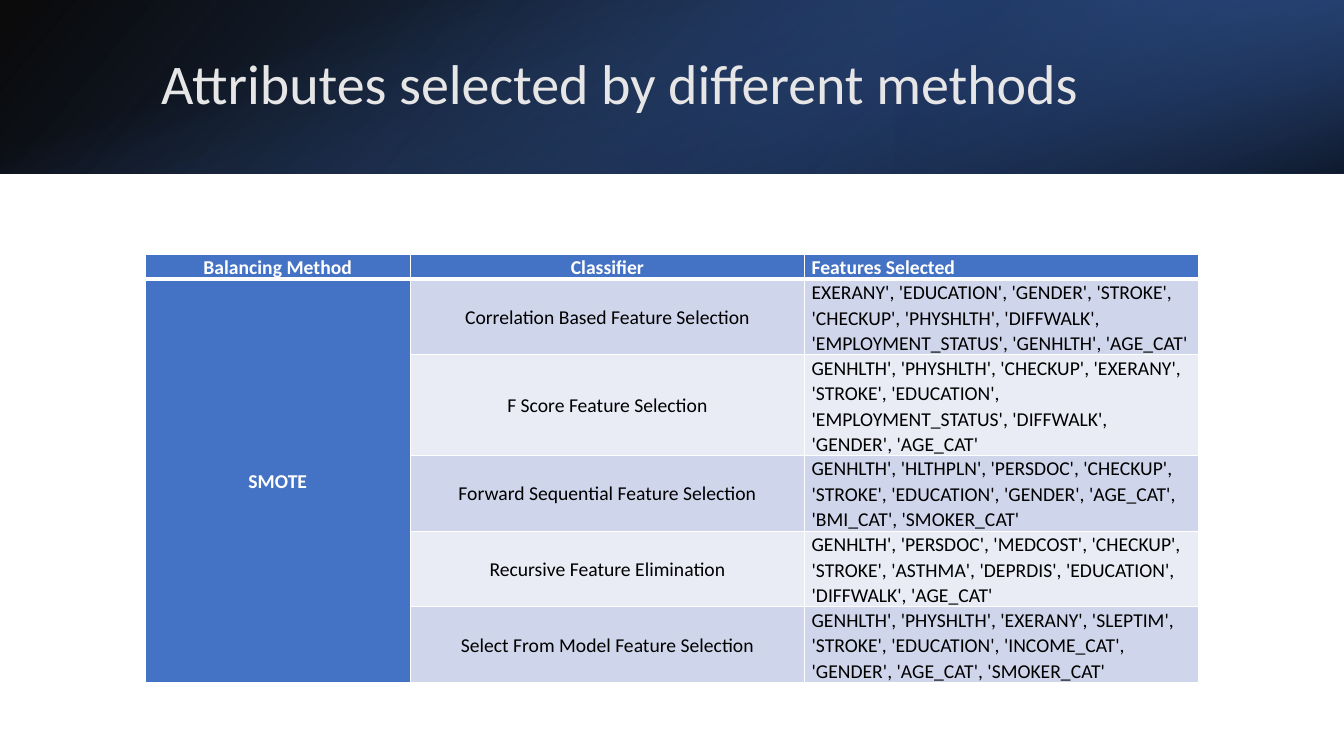
from lxml import etree
from pptx import Presentation
from pptx.dml.color import RGBColor
from pptx.enum.shapes import MSO_SHAPE
from pptx.enum.text import MSO_ANCHOR, PP_ALIGN
from pptx.oxml.ns import qn
from pptx.util import Inches, Pt

RECTANGLE = MSO_SHAPE.RECTANGLE
MIDDLE = MSO_ANCHOR.MIDDLE
LEFT, CENTER = PP_ALIGN.LEFT, PP_ALIGN.CENTER
WIDTH, HEIGHT, BANNER_HEIGHT = 13.33, 7.5, 1.72
LINE_HEIGHT = 0.25
BLUE, WHITE, BLACK = "4472C4", "FFFFFF", "000000"
BANDS = ["CFD5EA", "E9EBF5"]


def color(hex_string):
    return RGBColor.from_string(hex_string)


def write(text_frame, text, size, hex_string, bold, alignment, spacing):
    text_frame.word_wrap = True
    paragraph = text_frame.paragraphs[0]
    paragraph.alignment = alignment
    paragraph.line_spacing = spacing
    run = paragraph.add_run()
    run.text = text
    run.font.name = "Calibri"
    run.font.size = Pt(size)
    run.font.bold = bold
    run.font.color.rgb = color(hex_string)


presentation = Presentation()
presentation.slide_width = Inches(WIDTH)
presentation.slide_height = Inches(HEIGHT)
slide = presentation.slides.add_slide(presentation.slide_layouts[6])

turned_offset = (WIDTH - BANNER_HEIGHT) / 2
banner_layers = [
    ((0, 0, WIDTH, BANNER_HEIGHT), 0, True, 140,
     [(0, BLACK, 96), (100, "2F5597", 100)]),
    ((WIDTH * 2 / 3, 0, WIDTH / 3, BANNER_HEIGHT), 180, True, 320,
     [(19, "203864", 68), (100, BLUE, 79)]),
    ((turned_offset, -turned_offset, BANNER_HEIGHT, WIDTH), 90, False, 340,
     [(23, BLUE, 0), (99, BLACK, 74)]),
]
banner_layers[0][4][1] = (100, "2F5597", 100)
for box, rotation, flipped, angle, stops in banner_layers:
    layer = slide.shapes.add_shape(RECTANGLE, *map(Inches, box))
    layer.shadow.inherit = False
    layer.line.fill.background()
    layer.rotation = rotation
    if flipped:
        layer.element.spPr.find(qn("a:xfrm")).set("flipH", "1")
    layer.fill.gradient()
    layer.fill.gradient_angle = 360 - angle
    for stop, (position, hex_string, opacity) in zip(layer.fill.gradient_stops, stops):
        stop.position = position / 100
        stop.color.rgb = color(hex_string)
        if opacity < 100:
            for stop_color in layer.element.spPr.iter(qn("a:srgbClr")):
                if stop_color.find(qn("a:alpha")) is None:
                    alpha = etree.SubElement(stop_color, qn("a:alpha"))
                    alpha.set("val", str(opacity * 1000))

title = slide.shapes.add_textbox(Inches(1.5), Inches(0.38), Inches(10.98), Inches(0.96))
title.text_frame.vertical_anchor = MIDDLE
write(title.text_frame, "Attributes selected by different methods", 40, "E7E6E6", False, LEFT, 0.9)

rows = [
    (1, "Balancing Method", "Classifier", "Features Selected"),
    (3, "SMOTE", "Correlation Based Feature Selection",
     "EXERANY', 'EDUCATION', 'GENDER', 'STROKE', 'CHECKUP', 'PHYSHLTH', "
     "'DIFFWALK', 'EMPLOYMENT_STATUS', 'GENHLTH', 'AGE_CAT'"),
    (4, "", "F Score Feature Selection",
     "GENHLTH', 'PHYSHLTH', 'CHECKUP', 'EXERANY', 'STROKE', 'EDUCATION', "
     "'EMPLOYMENT_STATUS', 'DIFFWALK', 'GENDER', 'AGE_CAT'"),
    (3, "", "Forward Sequential Feature Selection",
     "GENHLTH', 'HLTHPLN', 'PERSDOC', 'CHECKUP', 'STROKE', 'EDUCATION', "
     "'GENDER', 'AGE_CAT', 'BMI_CAT', 'SMOKER_CAT'"),
    (3, "", "Recursive Feature Elimination",
     "GENHLTH', 'PERSDOC', 'MEDCOST', 'CHECKUP', 'STROKE', 'ASTHMA', "
     "'DEPRDIS', 'EDUCATION', 'DIFFWALK', 'AGE_CAT'"),
    (3, "", "Select From Model Feature Selection",
     "GENHLTH', 'PHYSHLTH', 'EXERANY', 'SLEPTIM', 'STROKE', 'EDUCATION', "
     "'INCOME_CAT', 'GENDER', 'AGE_CAT', 'SMOKER_CAT'"),
]
column_widths = [2.63, 3.91, 3.91]
table_height = LINE_HEIGHT * sum(row[0] for row in rows)
table = slide.shapes.add_table(
    len(rows), len(column_widths), Inches(1.44), Inches(2.52),
    Inches(sum(column_widths)), Inches(table_height)).table
for column, width in zip(table.columns, column_widths):
    column.width = Inches(width)
table.cell(1, 0).merge(table.cell(len(rows) - 1, 0))

for row_index, (line_count, *texts) in enumerate(rows):
    table.rows[row_index].height = Inches(LINE_HEIGHT * line_count)
    for column_index, text in enumerate(texts):
        cell = table.cell(row_index, column_index)
        heading = row_index == 0 or column_index == 0
        cell.vertical_anchor = MIDDLE
        cell.margin_left = cell.margin_right = Inches(0.07)
        cell.margin_top = cell.margin_bottom = 0
        properties = cell._tc.get_or_add_tcPr()
        for side in ("lnL", "lnR", "lnT", "lnB"):
            thick = (row_index, side) in [(0, "lnB"), (1, "lnT")]
            border = etree.SubElement(properties, qn("a:" + side), w=str(Pt(3 if thick else 1)))
            border_fill = etree.SubElement(border, qn("a:solidFill"))
            etree.SubElement(border_fill, qn("a:srgbClr"), val=WHITE)
        cell.fill.solid()
        cell.fill.fore_color.rgb = color(BLUE if heading else BANDS[(row_index - 1) % 2])
        if text:
            write(cell.text_frame, text, 14, WHITE if heading else BLACK, heading,
                  LEFT if column_index == 2 else CENTER, 1.07)

presentation.save("out.pptx")
